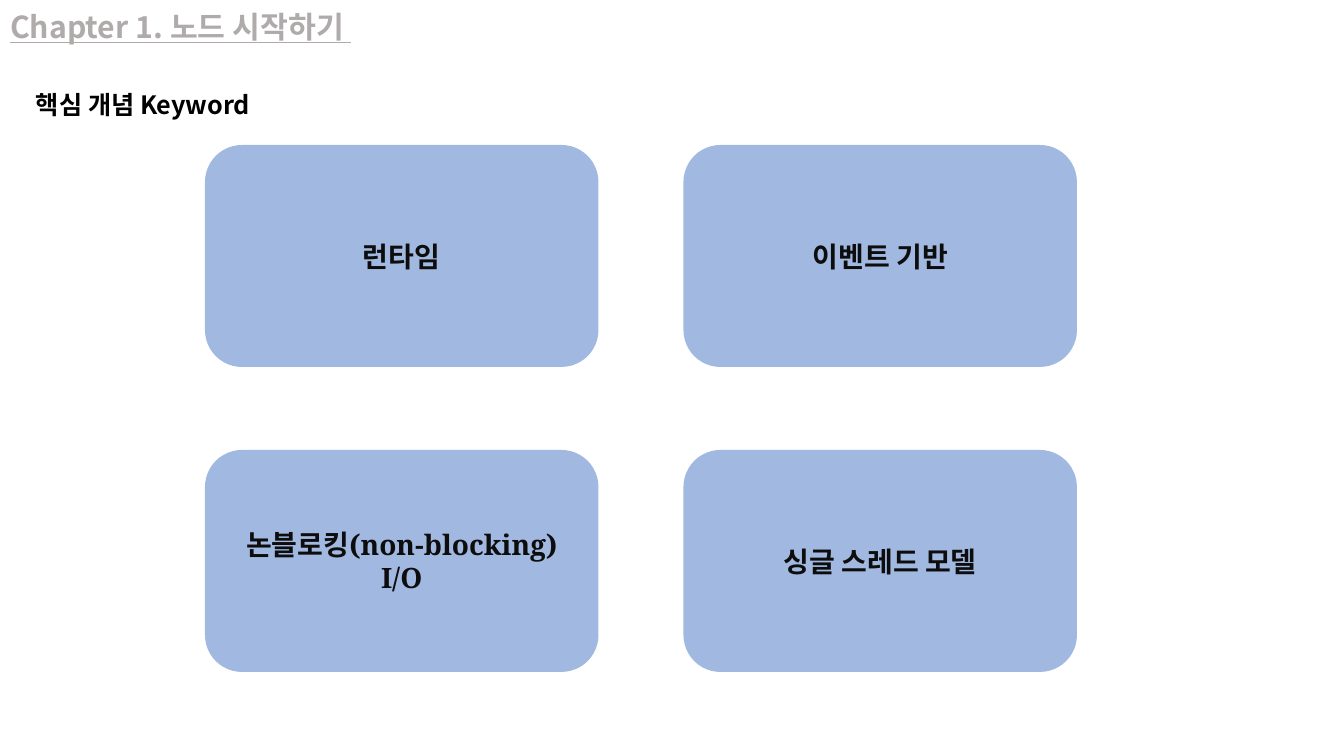
import dataclasses

import lxml.etree
import pptx
import pptx.dml.color
import pptx.enum.shapes
import pptx.enum.text
import pptx.oxml.ns
import pptx.util

PX = 914400 / 100.8  # EMU in one px
ALIGN = pptx.enum.text.PP_ALIGN
ANCHOR = pptx.enum.text.MSO_ANCHOR


@dataclasses.dataclass(frozen=True)
class Theme:
    sans: str = "Noto Sans CJK KR"
    serif: str = "Noto Serif"
    chapter: str = "AFABAB"
    heading: str = "000000"
    keyword: str = "0D0D0D"
    card: str = "4472C4"
    card_alpha: int = 50
    chapter_size: float = 21.6
    heading_size: float = 18
    keyword_size: float = 20


THEME = Theme()
CHAPTER = "Chapter 1. 노드 시작하기 "
HEADING = "핵심 개념 Keyword"
KEYWORDS = [
    ["런타임", "이벤트 기반"],
    ["논블로킹(non-blocking) I/O", "싱글 스레드 모델"],
]


def px(*lengths):
    return [pptx.util.Emu(round(length * PX)) for length in lengths]


def rgb(color):
    return pptx.dml.color.RGBColor.from_string(color)


def add_drawing_tag(parent, tag, **attributes):
    child = lxml.etree.SubElement(parent, pptx.oxml.ns.qn(tag))
    for key, value in attributes.items():
        child.set(key, str(value))


def write(frame, text, *, size, color, font, align=ALIGN.LEFT,
          anchor=ANCHOR.TOP, wrap=True, underline=None, spacing=None):
    """Fill a text frame with one bold paragraph."""
    frame.word_wrap = wrap
    frame.vertical_anchor = anchor
    paragraph = frame.paragraphs[0]
    paragraph.alignment = align
    paragraph.line_spacing = spacing
    run = paragraph.add_run()
    run.text = text
    run.font.size = pptx.util.Pt(size)
    run.font.bold = True
    run.font.underline = underline
    run.font.color.rgb = rgb(color)
    run.font.name = font
    add_drawing_tag(run.font._element, "a:ea", typeface=THEME.sans)


def place_chapter(slide, left, top, width, height):
    title = slide.shapes.title
    title.left, title.top, title.width, title.height = px(left, top, width, height)
    frame = title.text_frame
    frame.auto_size = pptx.enum.text.MSO_AUTO_SIZE.NONE
    frame.margin_top = 0
    write(frame, CHAPTER, size=THEME.chapter_size, color=THEME.chapter,
          font=THEME.sans, underline=True, spacing=0.9)


def add_heading(slide, left, top, width, height):
    heading = slide.shapes.add_textbox(*px(left, top, width, height))
    heading.text_frame.auto_size = pptx.enum.text.MSO_AUTO_SIZE.SHAPE_TO_FIT_TEXT
    write(heading.text_frame, HEADING, size=THEME.heading_size,
          color=THEME.heading, font=THEME.sans, wrap=False)


def add_card(slide, keyword, left, top, width, height):
    card = slide.shapes.add_shape(
        pptx.enum.shapes.MSO_SHAPE.ROUNDED_RECTANGLE, *px(left, top, width, height))
    card.shadow.inherit = False
    card.line.fill.background()
    card.fill.solid()
    card.fill.fore_color.rgb = rgb(THEME.card)
    fill_color = card._element.spPr.find(".//" + pptx.oxml.ns.qn("a:srgbClr"))
    add_drawing_tag(fill_color, "a:alpha", val=THEME.card_alpha * 1000)
    write(card.text_frame, keyword, size=THEME.keyword_size, color=THEME.keyword,
          font=THEME.serif, align=ALIGN.CENTER, anchor=ANCHOR.MIDDLE)


def add_keyword_grid(slide, left, top, width, height, gap_x=85, gap_y=83):
    rows, columns = len(KEYWORDS), len(KEYWORDS[0])
    card_width = (width - gap_x * (columns - 1)) / columns
    card_height = (height - gap_y * (rows - 1)) / rows
    for row, keywords in enumerate(KEYWORDS):
        for column, keyword in enumerate(keywords):
            add_card(slide, keyword,
                     left + column * (card_width + gap_x),
                     top + row * (card_height + gap_y),
                     card_width, card_height)


def main():
    deck = pptx.Presentation()
    deck.slide_width, deck.slide_height = px(1344, 756)
    slide = deck.slides.add_slide(deck.slide_layouts[5])
    place_chapter(slide, 0, 12, 1159, 51)
    add_keyword_grid(slide, 205, 145, 872, 527)
    add_heading(slide, 26, 84, 248, 40)
    deck.save("out.pptx")


if __name__ == "__main__":
    main()
